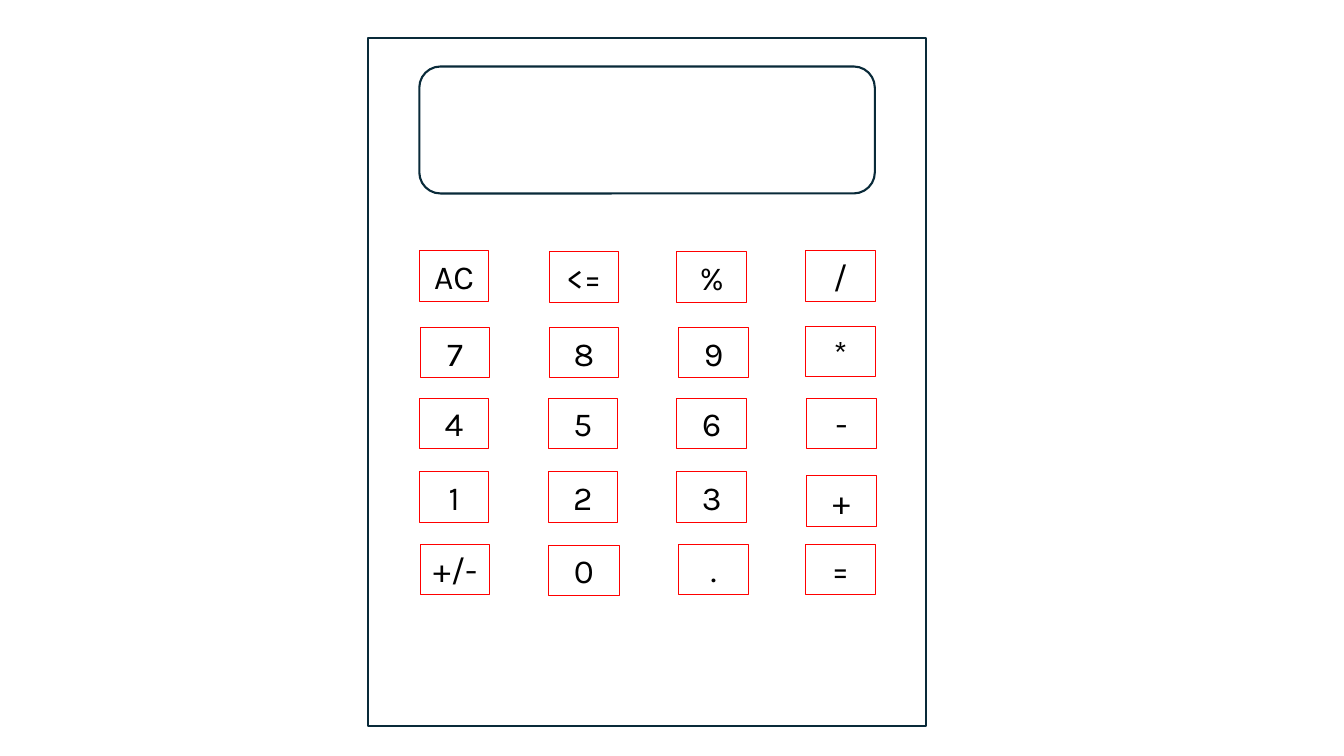
from pptx import Presentation
from pptx.dml.color import RGBColor
from pptx.enum.shapes import MSO_SHAPE
from pptx.enum.text import MSO_ANCHOR, MSO_AUTO_SIZE, PP_ALIGN
from pptx.util import Pt

KEY_ROWS = [
    ["AC", "<=", "%", "/"],
    ["7", "8", "9", "*"],
    ["4", "5", "6", "-"],
    ["1", "2", "3", "+"],
    ["+/-", "0", ".", "="],
]
FIRST_LEFT, COLUMN_STEP = 299.5, 92
ROW_TOPS = [179.3, 234, 284.4, 337, 388.8]
KEY_WIDTH, KEY_HEIGHT = 49.7, 36
# Small shifts (right, down) of keys that sit off the grid
NUDGES = {
    "<=": (0.7, 0.7), "%": (0, 0.7),
    "7": (0.7, 0), "8": (0.7, 0), "9": (1.4, 0), "*": (0, -0.7),
    "-": (0.7, 0), "+": (0.7, 2.9),
    "+/-": (0.7, 0), "0": (0, 0.7), ".": (1.4, 0),
}


def color(hex_value):
    return RGBColor.from_string(hex_value)


class CalculatorSlide:
    font_name = "Karla"
    font_size = 24
    text_color = "000000"
    body_color = "092A39"
    key_color = "FF0000"

    def __init__(self, slide):
        self.slide = slide

    def outline(self, preset, left, top, width, height, line_color, line_width):
        """Add an unfilled preset shape."""
        shape = self.slide.shapes.add_shape(
            preset, Pt(left), Pt(top), Pt(width), Pt(height))
        shape.shadow.inherit = False
        shape.fill.background()
        shape.line.color.rgb = color(line_color)
        shape.line.width = Pt(line_width)
        return shape

    def panel(self, preset, left, top, width, height):
        self.outline(preset, left, top, width, height, self.body_color, 1.5)

    def key(self, label, left, top, width):
        box = self.outline(MSO_SHAPE.RECTANGLE, left, top, width, KEY_HEIGHT,
                           self.key_color, 0.75)
        frame = box.text_frame
        frame.word_wrap = True
        frame.auto_size = MSO_AUTO_SIZE.SHAPE_TO_FIT_TEXT
        frame.vertical_anchor = MSO_ANCHOR.TOP
        paragraph = frame.paragraphs[0]
        paragraph.alignment = PP_ALIGN.CENTER
        run = paragraph.add_run()
        run.text = label
        run.font.name = self.font_name
        run.font.size = Pt(self.font_size)
        run.font.color.rgb = color(self.text_color)


def main():
    presentation = Presentation()
    presentation.slide_width = Pt(960)
    presentation.slide_height = Pt(540)
    calculator = CalculatorSlide(
        presentation.slides.add_slide(presentation.slide_layouts[6]))

    calculator.panel(MSO_SHAPE.RECTANGLE, 262.8, 27.4, 398.9, 491)
    calculator.panel(MSO_SHAPE.ROUNDED_RECTANGLE, FIRST_LEFT, 47.5, 325.4, 90.7)

    for labels, top in zip(KEY_ROWS, ROW_TOPS):
        for column, label in enumerate(labels):
            right, down = NUDGES.get(label, (0, 0))
            width = 51.1 if label == "0" else KEY_WIDTH
            calculator.key(label, FIRST_LEFT + column * COLUMN_STEP + right,
                           top + down, width)

    presentation.save("out.pptx")


if __name__ == "__main__":
    main()
